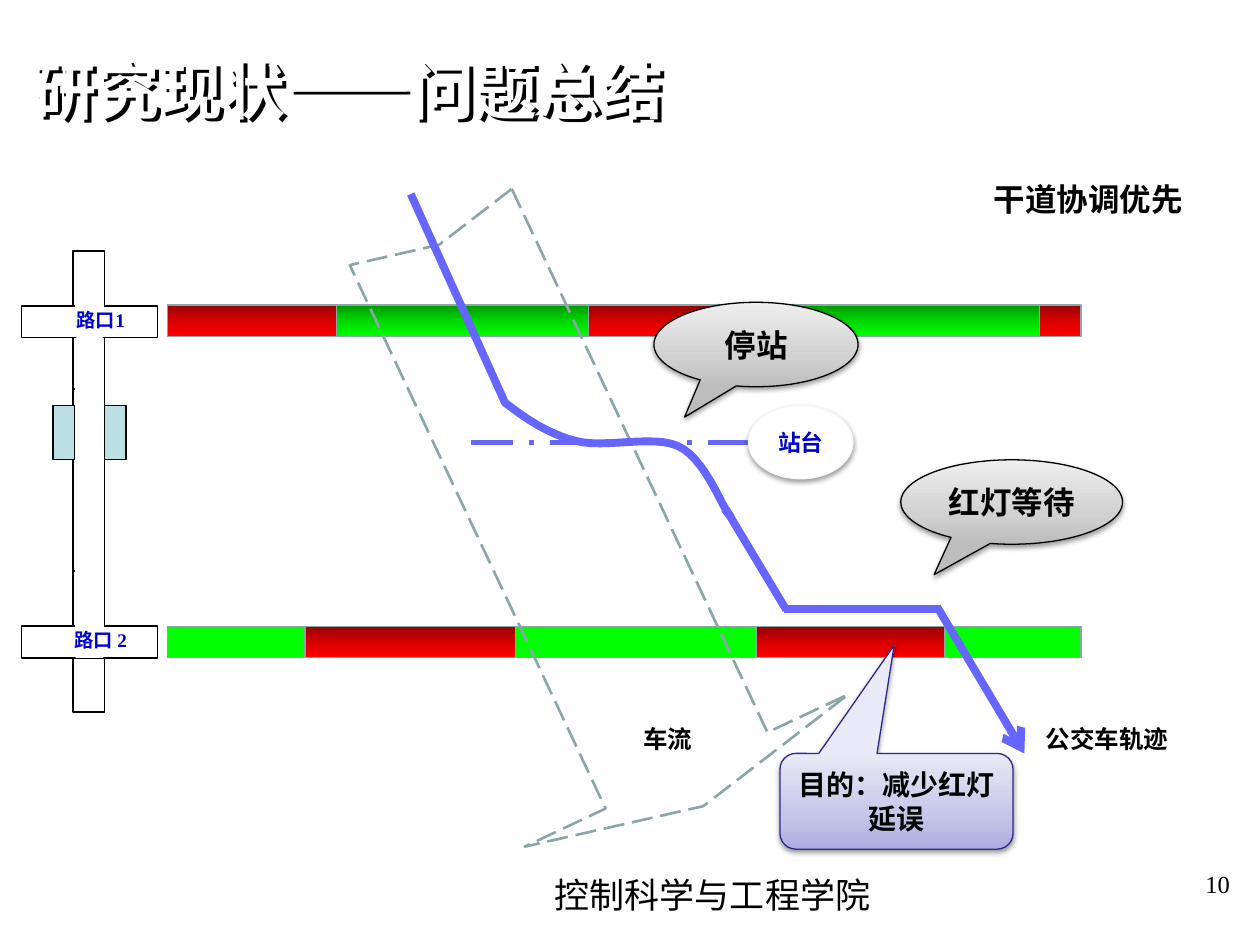
from lxml.etree import SubElement
from pptx import Presentation
from pptx.dml.color import RGBColor
from pptx.enum.dml import MSO_LINE
from pptx.enum.shapes import MSO_CONNECTOR, MSO_SHAPE
from pptx.enum.text import MSO_ANCHOR, PP_ALIGN
from pptx.oxml.ns import qn
from pptx.util import Inches, Pt

RED = [(0, "970000"), (50, "D70000"), (100, "FF0000")]
GREEN = [(0, "009700"), (50, "00D700"), (100, "00FF00")]
GREY = [(0, "BDBDBD"), (35, "D1D1D1"), (100, "EEEEEE")]
LILAC = [(0, "ADADE1"), (35, "C6C6E9"), (100, "E9E9F7")]
EDGE, BUS, NAVY, BLACK, WHITE = "8AA6A8", "6666FF", "0000CC", "000000", "FFFFFF"
SERIF, SANS = "Times New Roman", "Arial"
LEFT, MID, RIGHT = PP_ALIGN.LEFT, PP_ALIGN.CENTER, PP_ALIGN.RIGHT
RECT = MSO_SHAPE.RECTANGLE
color = RGBColor.from_string

deck = Presentation()
deck.slide_width, deck.slide_height = Inches(10), Inches(7.5)
slide = deck.slides.add_slide(deck.slide_layouts[6])
shapes = slide.shapes


def block(at, fill, edge, width=0.75, kind=RECT, angle=90, lift=False):
    """Add a shape; fill is a hex colour, a list of gradient stops or None."""
    shape = shapes.add_shape(kind, *map(Inches, at))
    shape.line.color.rgb = color(edge)
    shape.line.width = Pt(width)
    shape.shadow.inherit = False
    props = shape._element.spPr
    if fill is None:
        shape.fill.background()
    elif isinstance(fill, str):
        shape.fill.solid()
        shape.fill.fore_color.rgb = color(fill)
    else:
        shape.fill.gradient()
        shape.fill.gradient_angle = 360 - angle
        stops = props.find(".//" + qn("a:gsLst"))
        for stop in list(stops):
            stops.remove(stop)
        for place, tone in fill:
            stop = SubElement(stops, qn("a:gs"), pos=str(place * 1000))
            SubElement(stop, qn("a:srgbClr"), val=tone)
    if lift:
        shade = SubElement(props.find(qn("a:effectLst")), qn("a:outerShdw"),
                           blurRad=str(Pt(3.1)), dist=str(Pt(1.6)),
                           dir="5400000", rotWithShape="0")
        tone = SubElement(shade, qn("a:srgbClr"), val=BLACK)
        SubElement(tone, qn("a:alpha"), val="38000")
    return shape


def write(shape, text, size, font=SERIF, tone=BLACK, bold=True,
          align=MID, anchor=MSO_ANCHOR.MIDDLE):
    frame = shape.text_frame
    frame.word_wrap = True
    frame.vertical_anchor = anchor
    para = frame.paragraphs[0]
    para.alignment = align
    run = para.add_run()
    run.text = text
    look = {"name": font, "size": Pt(size), "bold": bold}
    for key, value in look.items():
        setattr(run.font, key, value)
    run.font.color.rgb = color(tone)


# White title over its hard black shadow
for shift, tone in ((0.03, BLACK), (0, WHITE)):
    title = shapes.add_textbox(*map(Inches, (0.17 + shift, 0.33 + shift,
                                             9.67, 0.75)))
    write(title, "研究现状——问题总结", 36, tone=tone, align=LEFT)

# Crossings along the road
for top, name in ((1.99, "路口1"), (4.53, "路口 2")):
    block((0.58, top, 0.25, 1.12), WHITE, BLACK, 1)
    block((0.17, top + 0.44, 1.08, 0.25), WHITE, BLACK, 1)
    block((0.61, top + 0.41, 0.2, 0.27), WHITE, WHITE, 2)
    label = shapes.add_textbox(*map(Inches, (0.21, top + 0.41, 1.18, 0.29)))
    write(label, name, 11, tone=NAVY, anchor=MSO_ANCHOR.TOP)

# Signal phases: row top, then left, width and fill of each phase
signals = (
    (2.42, ((1.33, 7.25, RED), (2.67, 2, GREEN), (6.17, 2.08, GREEN))),
    (4.97, ((1.33, 7.25, "00FF00"), (2.42, 1.67, RED), (6, 1.5, RED))),
)
for top, phases in signals:
    for left, width, fill in phases:
        block((left, top, width, 0.25), fill, EDGE)

# Traffic flow band
flow = block((1.96, 2.68, 5.08, 2.84), None, EDGE, 1.5,
             MSO_SHAPE.NOTCHED_RIGHT_ARROW)
flow.rotation = 64.8
flow.line.dash_style = MSO_LINE.LONG_DASH
flow.adjustments[0], flow.adjustments[1] = 0.5, 0.11

# Road between the crossings, with the stop on both sides
block((0.58, 3.09, 0.25, 1.44), WHITE, BLACK, 1)
block((0.6, 2.98, 0.22, 1.64), WHITE, WHITE, 1)
for left in (0.83, 0.42):
    block((left, 3.22, 0.17, 0.43), "BBE0E3", BLACK)

wedge = MSO_SHAPE.OVAL_CALLOUT
halt = block((5.19, 2.4, 1.62, 0.67), GREY, BLACK, 0.75, wedge, 270, True)
write(halt, "停站", 18, SANS)

# Bus track: straight legs, then the curve through the stop
legs = (
    (3.26, 1.54, 4.01, 3.2), (5.76, 4.04, 6.24, 4.84),
    (6.22, 4.83, 7.47, 4.83), (7.44, 4.82, 8.13, 5.98),
    (3.74, 3.51, 6.16, 3.51),
)
lines = []
for leg in legs:
    line = shapes.add_connector(MSO_CONNECTOR.STRAIGHT, *map(Inches, leg))
    line.line.color.rgb = color(BUS)
    line.line.width = Pt(4.5)
    SubElement(line._element.spPr, qn("a:effectLst"))
    lines.append(line)
last, level = lines[3:]
SubElement(last.line._get_or_add_ln(), qn("a:tailEnd"), type="arrow")
level.line.width = Pt(3)
level.line.dash_style = MSO_LINE.LONG_DASH_DOT

curve = [(4, 3.19), (4.17, 3.32), (4.34, 3.44), (4.57, 3.5), (4.8, 3.56),
         (5.18, 3.45), (5.38, 3.54), (5.58, 3.63), (5.71, 3.97),
         (5.77, 4.06), (5.83, 4.14), (5.79, 4.09), (5.75, 4.04)]
points = []
for start in range(0, len(curve) - 1, 3):
    for step in range(1, 13):
        t = step / 12
        parts = ((1 - t) ** 3, 3 * t * (1 - t) ** 2, 3 * t * t * (1 - t), t ** 3)
        knots = curve[start:start + 4]
        points.append([Inches(sum(p * k[axis] for p, k in zip(parts, knots)))
                       for axis in (0, 1)])
pen = shapes.build_freeform(*map(Inches, curve[0]))
pen.add_line_segments(points, close=False)
bend = pen.convert_to_shape()
bend.fill.background()
bend.line.color.rgb = color(BUS)
bend.line.width = Pt(4.5)
bend.shadow.inherit = False

# Stop mark and remaining callouts
stop = block((5.94, 3.22, 0.83, 0.58), WHITE, "F9F9F9", kind=MSO_SHAPE.OVAL,
             lift=True)
write(stop, "站台", 13, tone=NAVY)
wait = block((7.15, 3.65, 1.76, 0.67), GREY, BLACK, 0.75, wedge, 270, True)
write(wait, "红灯等待", 18, SANS)
goal = block((6.19, 5.98, 1.85, 0.76), LILAC, "2A2A89", 0.75,
             MSO_SHAPE.ROUNDED_RECTANGULAR_CALLOUT, 270, True)
write(goal, "目的：减少红灯延误", 16, SANS)
for shape, tip in ((halt, (-0.35, 0.86)), (wait, (-0.35, 0.86)),
                   (goal, (-0.01, -1.63))):
    shape.adjustments[0], shape.adjustments[1] = tip

# Plain labels and footer
labels = (
    ((8.2, 5.7, 1.2, 0.34), "公交车轨迹", 14, SERIF, True, LEFT),
    ((4.67, 5.7, 1.26, 0.34), "车流", 14, SERIF, True, MID),
    ((7.79, 1.38, 2.07, 0.4), "干道协调优先", 18, SANS, True, LEFT),
    ((4.11, 6.76, 3.09, 0.68), "控制科学与工程学院", 20, SERIF, False, MID),
    ((7.53, 6.85, 2.33, 0.52), "10", 14, SERIF, False, RIGHT),
)
for at, text, size, font, bold, align in labels:
    box = shapes.add_textbox(*map(Inches, at))
    anchor = MSO_ANCHOR.MIDDLE if size == 20 else MSO_ANCHOR.TOP
    write(box, text, size, font, BLACK, bold, align, anchor)

deck.save("out.pptx")
